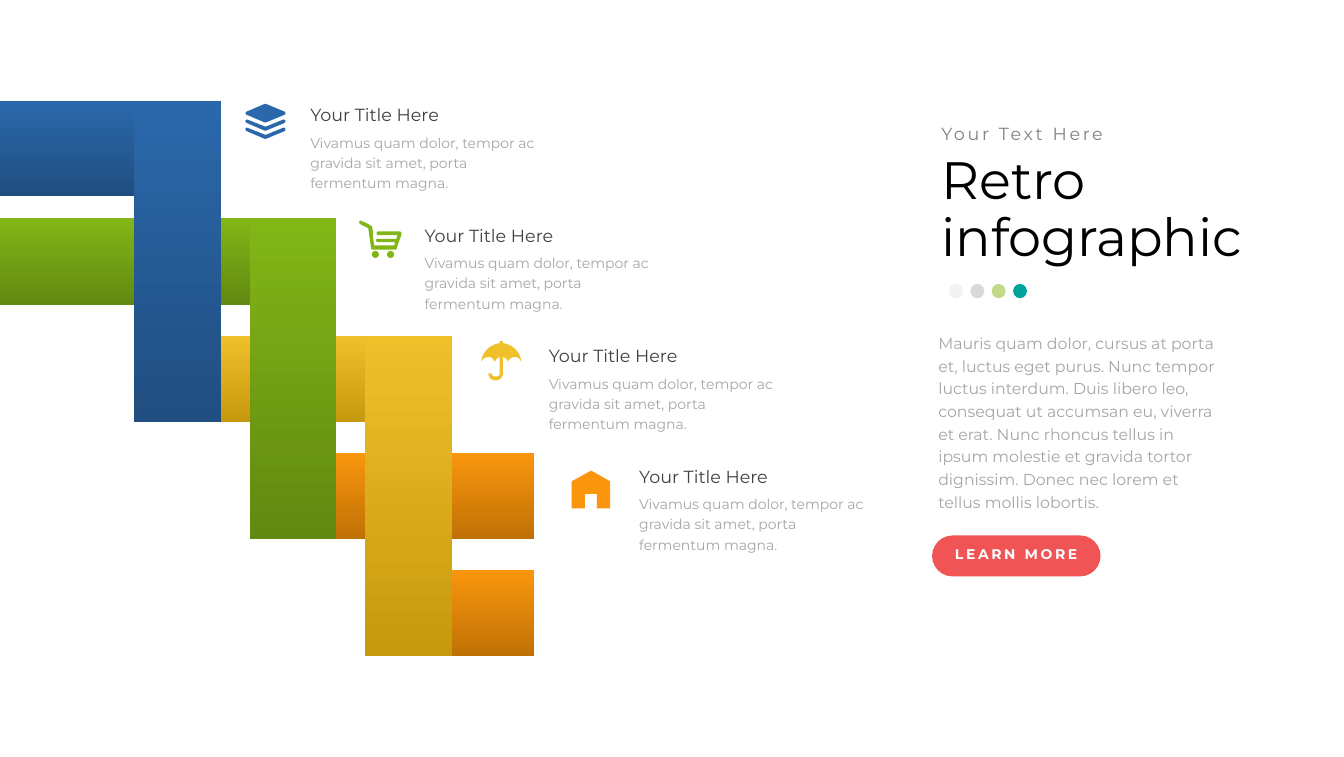
import math

from lxml import etree
from pptx import Presentation
from pptx.dml.color import RGBColor
from pptx.enum.shapes import MSO_SHAPE
from pptx.enum.text import MSO_ANCHOR, MSO_AUTO_SIZE, PP_ALIGN
from pptx.oxml.ns import qn
from pptx.util import Cm, Pt

RECT, OVAL, PILL = MSO_SHAPE.RECTANGLE, MSO_SHAPE.OVAL, MSO_SHAPE.ROUNDED_RECTANGLE
LEFT, CENTER = PP_ALIGN.LEFT, PP_ALIGN.CENTER
TOP, MIDDLE = MSO_ANCHOR.TOP, MSO_ANCHOR.MIDDLE
FONT = "Montserrat"

BLACK = RGBColor(0x00, 0x00, 0x00)
WHITE = RGBColor(0xFF, 0xFF, 0xFF)
DARK = RGBColor(0x40, 0x40, 0x40)
GREY = RGBColor(0x80, 0x80, 0x80)
LIGHT = RGBColor(0xA6, 0xA6, 0xA6)
PALE = RGBColor(0xD9, 0xD9, 0xD9)
MIST = RGBColor(0xF2, 0xF2, 0xF2)
TEAL = RGBColor(0x00, 0xA3, 0x9B)
RED = RGBColor(0xF0, 0x54, 0x55)
BLUE, BLUE_END = RGBColor(0x2B, 0x68, 0xAB), RGBColor(0x20, 0x4E, 0x80)
GREEN, GREEN_END = RGBColor(0x82, 0xB6, 0x17), RGBColor(0x62, 0x89, 0x11)
YELLOW, YELLOW_END = RGBColor(0xF0, 0xC0, 0x2B), RGBColor(0xC6, 0x99, 0x0E)
ORANGE, ORANGE_END = RGBColor(0xF9, 0x96, 0x0E), RGBColor(0xC0, 0x71, 0x05)

# Weave grid, in cm
COL_X, COL_STEP = 5.41, 4.65
ROW_Y, ROW_STEP = 8.79, 4.72
BAND = 3.48
ORANGE_RIGHT = 21.49

# Icon outlines, in hundredths of an inch
ICON_UNIT = Cm(0.0254)
LAYER = ("M 62 17 L 33 29 C 32 29.3 31 29.3 30 29 L 2 17 C -0.5 16 -0.5 13 2 12 "
         "L 30 0 C 31 -0.3 32 -0.3 33 0 L 62 12 C 64 13 64 16 62 17")
CHEVRON = ("M 4 25 L 32 36 L 59 25 C 63 23 65 28 62 30 L 33 42 "
           "C 32 42.3 31 42.3 30 42 L 2 30 C -1.5 28 0 23 4 25")
CART = ("M 66 18 L 32 18 C 32 18 30 19 30 21 C 30 23 32 24 32 24 L 63 24 L 61 30 "
        "L 31 30 C 31 30 29 30 29 32 C 29 34 31 35 31 35 L 59 35 L 58 40 L 26 40 "
        "L 24 24 L 24 18 C 24 18 23 13 23 11 C 22 9 17 6 5 1 C 3 0 0 5 5 7 L 15 12 "
        "C 15 12 17 13 17 14 C 17 16 21 43 21 43 C 21 43 21 47 24 47 L 59 47 "
        "C 62 47 62 44 62 44 L 69 24 C 69 24 71 18 66 18")
UMBRELLA = ("M 63 31 C 61 16 49 5 34 3 L 34 0 L 29 0 L 29 3 C 14 5 2 16 0 31 "
            "C 0 33 0 33 1 31 C 3 27 6 25 11 25 C 15 25 19 27 20 31 C 21 33 21 33 22 31 "
            "C 23 28 26 26 29 25 L 29 51 C 29 54 27 56 23 56 L 22 56 "
            "C 19 56 16 54 16 51 L 11 51 C 11 57 16 62 22 62 L 23 62 "
            "C 29 62 34 57 34 51 L 34 25 C 38 26 40 28 42 31 C 42 33 42 33 43 31 "
            "C 45 27 48 25 53 25 C 57 25 61 27 62 31 C 63 33 63 33 63 31")
HOUSE = ("M 0 17 L 0 60 L 21 60 L 21 37 L 40 37 L 40 60 L 61 60 L 61 17 "
         "L 31 0 L 0 17")

CARD_TITLE = "Your Title Here"
CARD_TEXT = "Vivamus quam dolor, tempor ac gravida sit amet, porta fermentum magna."
INTRO = ("Mauris quam dolor, cursus at porta et, luctus eget purus. Nunc tempor luctus "
         "interdum. Duis libero leo, consequat ut accumsan eu, viverra et erat. Nunc "
         "rhoncus tellus in ipsum molestie et gravida tortor dignissim. Donec nec lorem "
         "et tellus mollis lobortis.")


def write(shape, lines, size, color, spacing, align=LEFT, anchor=TOP, bold=False, track=0):
    tf = shape.text_frame
    tf.word_wrap = True
    tf.auto_size = MSO_AUTO_SIZE.NONE
    tf.vertical_anchor = anchor
    tf.text = "\n".join(lines)
    for p in tf.paragraphs:
        p.alignment, p.line_spacing = align, spacing
        p.font.name, p.font.size, p.font.bold = FONT, Pt(size), bold
        p.font.color.rgb = color
        if track:
            p.runs[0]._r.get_or_add_rPr().set("spc", str(track * 100))


def add_text(s, x, y, w, h, text, *style, **options):
    box = s.shapes.add_textbox(Cm(x), Cm(y), Cm(w), Cm(h))
    write(box, [text], *style, **options)


def paint(shape, color, alpha=100):
    shape.shadow.inherit = False
    shape.line.fill.background()
    shape.fill.solid()
    shape.fill.fore_color.rgb = color
    if alpha < 100:
        clr = shape._element.spPr.find(qn("a:solidFill"))[0]
        etree.SubElement(clr, qn("a:alpha")).set("val", str(alpha * 1000))


def add_shape(s, kind, x, y, w, h, color, alpha=100):
    sp = s.shapes.add_shape(kind, Cm(x), Cm(y), Cm(w), Cm(h))
    paint(sp, color, alpha)
    return sp


def add_band(s, x, y, w, h, start, end):
    sp = add_shape(s, RECT, x, y, w, h, start)
    sp.fill.gradient()
    sp.fill.gradient_angle = 270
    for stop, color in zip(sp.fill.gradient_stops, (start, end)):
        stop.color.rgb = color


def outline(data, dy=0):
    """Turn M, L and C commands into points, with curves cut into short lines."""
    points = []
    for command in data.replace("M", "|").replace("L", "|").replace("C", "|").split("|")[1:]:
        nums = [float(n) for n in command.split()]
        pairs = [(x, y + dy) for x, y in zip(nums[::2], nums[1::2])]
        if len(pairs) == 1:
            points += pairs
            continue
        curve = [points[-1]] + pairs
        for t in (i / 8 for i in range(1, 9)):
            weights = [math.comb(3, k) * t ** k * (1 - t) ** (3 - k) for k in range(4)]
            points.append(tuple(sum(w * pt[axis] for w, pt in zip(weights, curve))
                                for axis in (0, 1)))
    return points


def wheel(cx, cy, r):
    angles = [math.tau * i / 24 for i in range(24)]
    return [(cx + r * math.cos(a), cy + r * math.sin(a)) for a in angles]


def add_icon(s, x, y, contours, color):
    scaled = [[(px * ICON_UNIT, py * ICON_UNIT) for px, py in c] for c in contours]
    builder = s.shapes.build_freeform(*scaled[0][0], scale=1.0)
    for i, points in enumerate(scaled):
        if i:
            builder.move_to(*points[0])
        builder.add_line_segments(points[1:], close=True)
    paint(builder.convert_to_shape(Cm(x), Cm(y)), color)


def add_weave(s):
    col = [COL_X + COL_STEP * i for i in range(3)]
    row = [ROW_Y + ROW_STEP * i for i in range(-1, 4)]
    # Horizontal bands: left, right, top, height
    for x, right, y, h, start, end in (
            (0, col[1] + BAND, row[1], BAND, GREEN, GREEN_END),
            (col[0], col[2] + BAND, row[2], BAND, YELLOW, YELLOW_END),
            (col[1], ORANGE_RIGHT, row[3], BAND, ORANGE, ORANGE_END),
            (col[2], ORANGE_RIGHT, row[4], BAND, ORANGE, ORANGE_END),
            (0, col[0] + BAND, row[0], 3.81, BLUE, BLUE_END)):
        add_band(s, x, y, right - x, h, start, end)
    # Vertical bands, each spanning three rows
    colors = ((BLUE, BLUE_END), (GREEN, GREEN_END), (YELLOW, YELLOW_END))
    for x, y, (start, end) in zip(col, row, colors):
        add_band(s, x, y, BAND, 2 * ROW_STEP + BAND, start, end)


def add_cards(s):
    layers = [outline(LAYER), outline(CHEVRON), outline(CHEVRON, -13 + 26 - 26)]
    layers[2] = outline(CHEVRON, 13)
    cart = [outline(CART), wheel(28, 54.5, 5.5), wheel(52, 54.5, 5.5)]
    cards = ((12.24, 9.88, 4.19, layers, BLUE),
             (16.84, 14.4, 8.86, cart, GREEN),
             (21.84, 19.38, 13.74, [outline(UMBRELLA)], YELLOW),
             (25.48, 23.01, 18.95, [outline(HOUSE)], ORANGE))
    for i, (x, icon_x, icon_y, contours, color) in enumerate(cards):
        y = 3.91 + 4.85 * i
        add_text(s, x, y, 9.47, 1.27, CARD_TITLE, 20, DARK, 1.2)
        add_text(s, x, y + 1.24, 10.08, 2.72, CARD_TEXT, 16, LIGHT, 1.2)
        add_icon(s, icon_x, icon_y, contours, color)


def add_side_panel(s):
    # Heading
    title = s.shapes.title
    title.left, title.top, title.width, title.height = Cm(37.64), Cm(6.07), Cm(13.11), Cm(5)
    write(title, ["Retro", "infographic"], 60, BLACK, 0.9)
    add_text(s, 37.64, 4.93, 7.98, 1.12, "Your Text Here", 20, GREY, 0.9, track=3)
    # Dots
    for i, (color, alpha) in enumerate(((MIST, 100), (PALE, 98), (GREEN, 50), (TEAL, 100))):
        add_shape(s, OVAL, 38.2 + 0.86 * i, 11.43, 0.56, 0.58, color, alpha)
    # Introduction and button
    add_text(s, 37.52, 13.16, 11.76, 7.65, INTRO, 18, LIGHT, 1.2)
    button = add_shape(s, PILL, 37.52, 21.56, 6.78, 1.65, RED)
    button.adjustments[0] = 0.5
    write(button, ["LEARN MORE"], 16, WHITE, 0.8, CENTER, MIDDLE, bold=True, track=3)


def main():
    prs = Presentation()
    prs.slide_width, prs.slide_height = Cm(54.1), Cm(30.48)
    s = prs.slides.add_slide(prs.slide_layouts[5])
    add_weave(s)
    add_cards(s)
    add_side_panel(s)
    prs.save("out.pptx")


if __name__ == "__main__":
    main()
